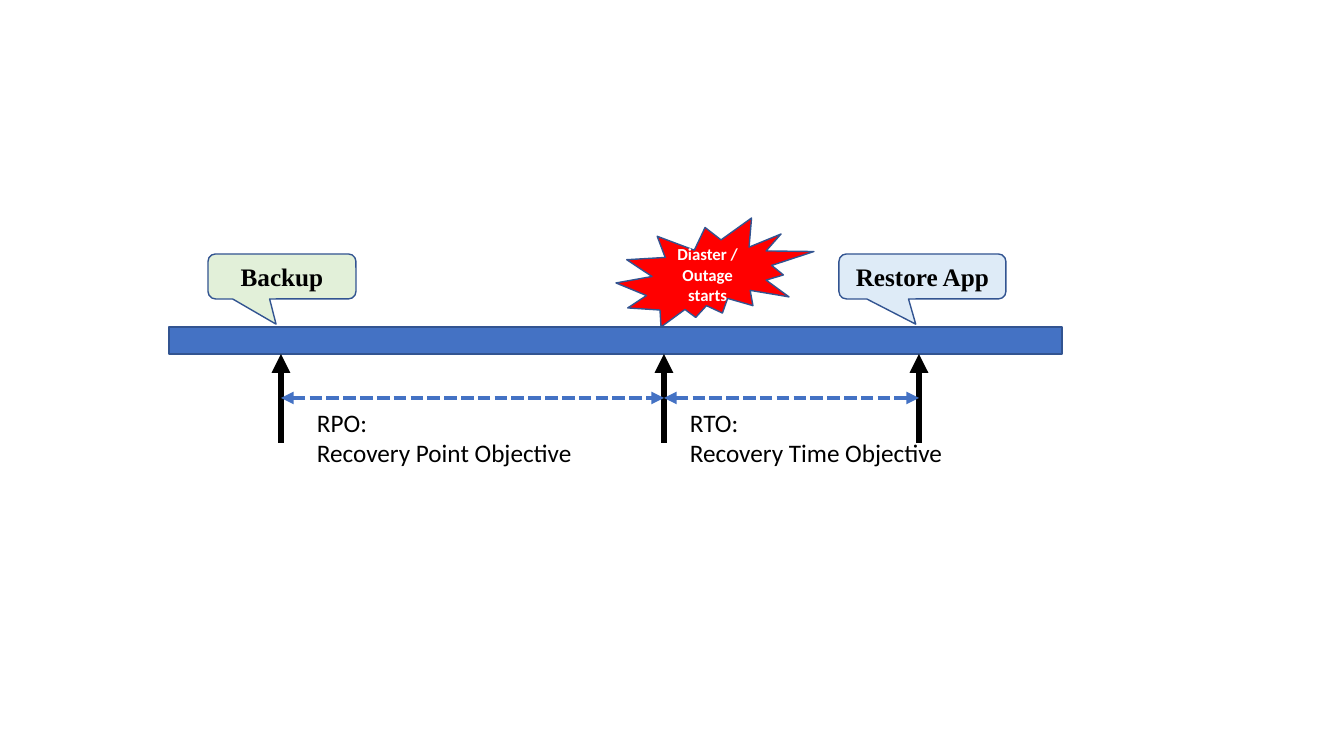
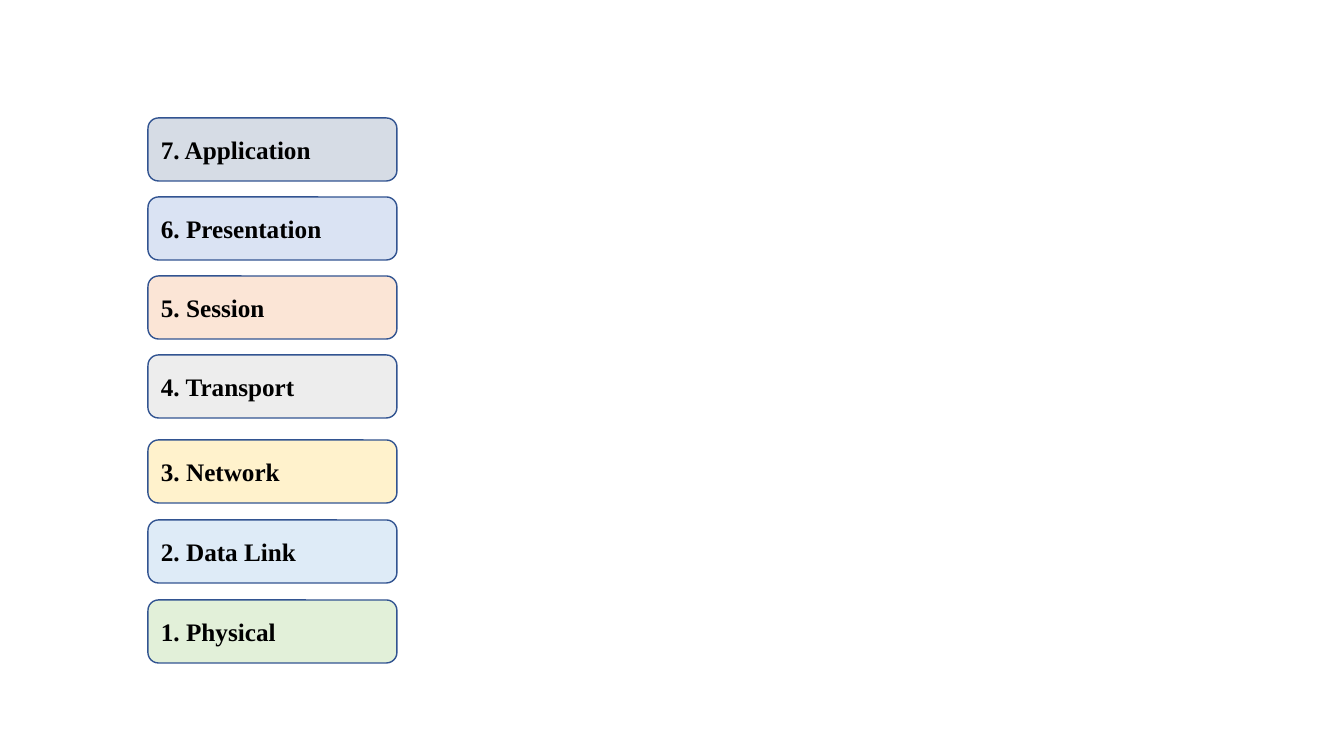
from lxml import etree
from pptx import Presentation
from pptx import util as u
from pptx.dml.color import RGBColor
from pptx.enum import dml, shapes, text
from pptx.oxml.ns import qn

SCALE = 914400 / 100.8
COLORS = {
    "black": "000000", "white": "FFFFFF", "blue": "4472C4",
    "outline": "325491", "red": "FF0000", "green": "E2F0D9",
    "sky": "DEEBF7", "slate": "D6DCE5", "periwinkle": "DAE3F3",
    "peach": "FBE5D6", "gray": "EDEDED", "cream": "FFF2CC",
}
SERIF = "Times New Roman"
SANS = "Calibri"


def px(value):
    return u.Emu(round(value * SCALE))


def color(name):
    return RGBColor.from_string(COLORS[name])


def set_text(shape, content, font=SERIF, size=18, bold=True, ink="black",
             align=text.PP_ALIGN.LEFT):
    shape.text_frame.text = content
    for paragraph in shape.text_frame.paragraphs:
        paragraph.alignment = align
        for run in paragraph.runs:
            run.font.name = font
            run.font.size = u.Pt(size)
            run.font.bold = bold
            run.font.color.rgb = color(ink)


def add_box(slide, kind, box, fill):
    shape = slide.shapes.add_shape(kind, *map(px, box))
    shape.shadow.inherit = False
    shape.fill.solid()
    shape.fill.fore_color.rgb = color(fill)
    shape.line.color.rgb = color("outline")
    shape.line.width = u.Pt(1)
    shape.text_frame.word_wrap = True
    shape.text_frame.vertical_anchor = text.MSO_ANCHOR.MIDDLE
    return shape


def add_callout(slide, box, content, fill):
    shape = add_box(slide, shapes.MSO_SHAPE.ROUNDED_RECTANGULAR_CALLOUT, box, fill)
    shape.adjustments[0] = -0.04
    shape.adjustments[1] = 1.06
    set_text(shape, content, align=text.PP_ALIGN.CENTER)


def add_arrow(slide, start, end, ink, width, ends, dash=None):
    arrow = slide.shapes.add_connector(
        shapes.MSO_CONNECTOR.STRAIGHT, *map(px, start + end))
    arrow.line.color.rgb = color(ink)
    arrow.line.width = u.Pt(width)
    if dash:
        arrow.line.dash_style = dash
    line = arrow.line._get_or_add_ln()
    for tag in ends:
        etree.SubElement(line, qn(tag), type="triangle")
    etree.SubElement(arrow._element.spPr, qn("a:effectLst"))


def add_event_arrow(slide, x):
    add_arrow(slide, (x, 443), (x, 354), "black", 4.5, ["a:tailEnd"])


def add_span(slide, left, right):
    add_arrow(slide, (left, 398), (right, 398), "blue", 3,
              ["a:headEnd", "a:tailEnd"], dml.MSO_LINE.SQUARE_DOT)


def add_label(slide, box, content, wrap):
    label = slide.shapes.add_textbox(*map(px, box))
    label.text_frame.word_wrap = wrap
    label.text_frame.auto_size = text.MSO_AUTO_SIZE.SHAPE_TO_FIT_TEXT
    set_text(label, content, SANS, bold=False)


def build_recovery_timeline(slide):
    backup, outage, restore = 281, 664, 919
    add_box(slide, shapes.MSO_SHAPE.RECTANGLE, (169, 327, 893, 27), "blue")
    add_callout(slide, (208, 254, 148, 45), "Backup", "green")
    burst = add_box(slide, shapes.MSO_SHAPE.EXPLOSION2, (616, 218, 198, 109), "red")
    set_text(burst, "Diaster / Outage starts", SANS, 12, ink="white",
             align=text.PP_ALIGN.CENTER)
    add_callout(slide, (839, 254, 167, 45), "Restore App", "sky")
    for x in (backup, outage, restore):
        add_event_arrow(slide, x)
    add_span(slide, backup, outage)
    add_span(slide, outage, restore)
    add_label(slide, (307, 402, 278, 72), "RPO:\nRecovery Point Objective", False)
    add_label(slide, (680, 402, 289, 72), "RTO:\nRecovery Time Objective", True)


def build_network_layers(slide):
    upper = [("7. Application", "slate"), ("6. Presentation", "periwinkle"),
             ("5. Session", "peach"), ("4. Transport", "gray")]
    lower = [("3. Network", "cream"), ("2. Data Link", "sky"),
             ("1. Physical", "green")]
    for top, pitch, layers in ((118, 79, upper), (440, 80, lower)):
        for index, (name, fill) in enumerate(layers):
            box = (148, top + index * pitch, 249, 63)
            layer = add_box(slide, shapes.MSO_SHAPE.ROUNDED_RECTANGLE, box, fill)
            set_text(layer, name)


def main():
    presentation = Presentation()
    presentation.slide_width = px(1344)
    presentation.slide_height = px(756)
    blank = presentation.slide_layouts[6]
    for build in (build_recovery_timeline, build_network_layers):
        build(presentation.slides.add_slide(blank))
    presentation.save("out.pptx")


main()
